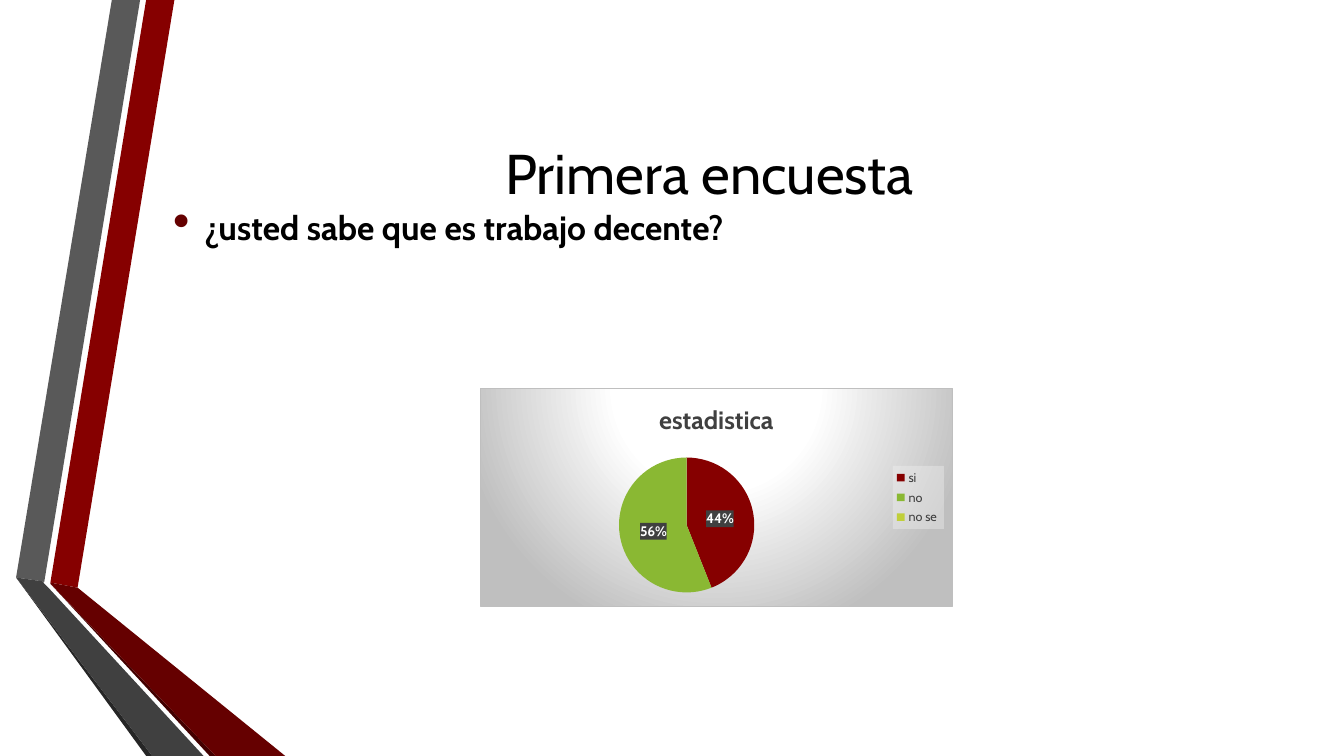
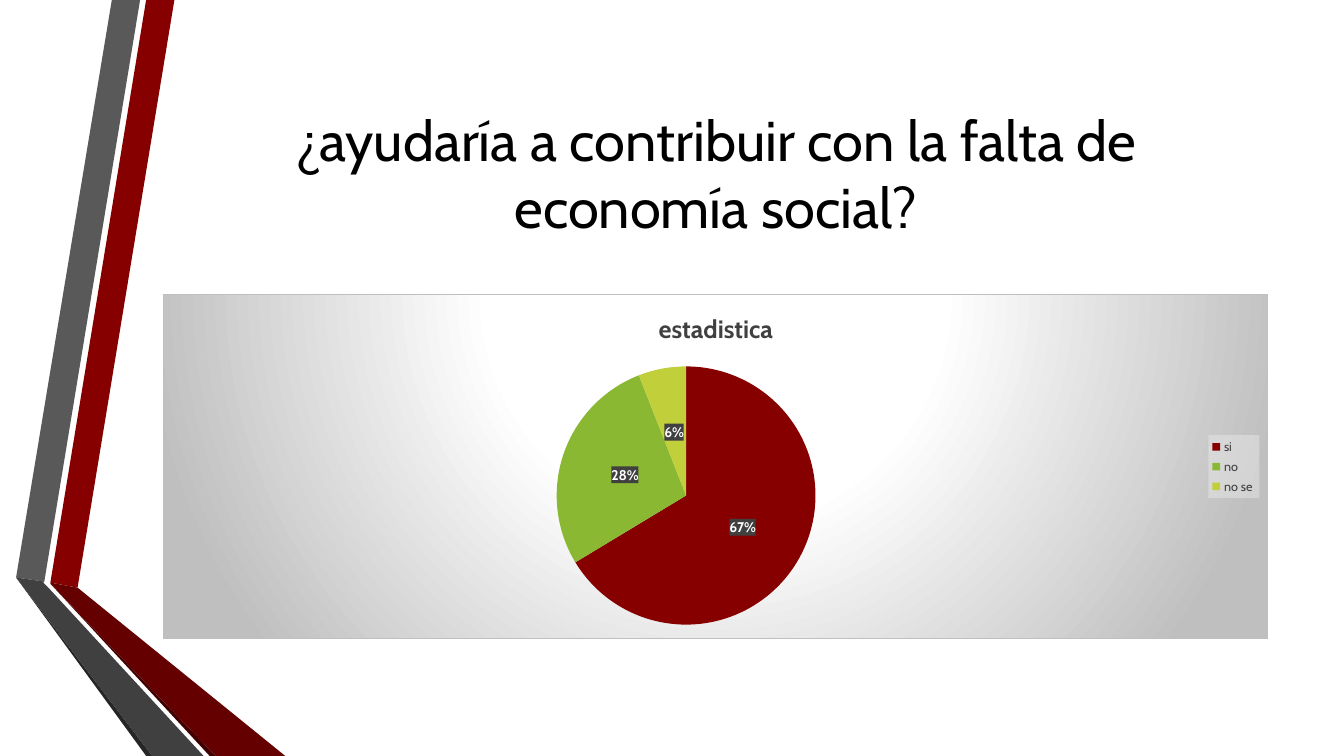
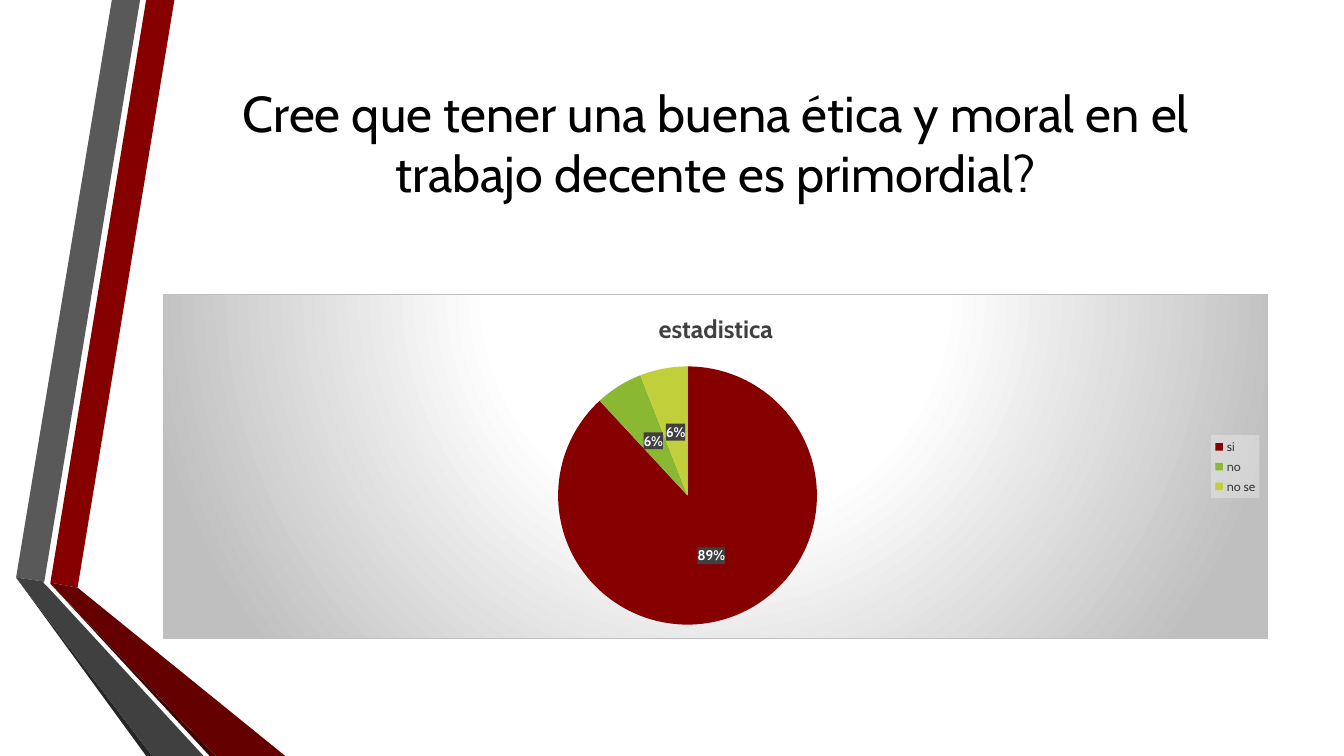
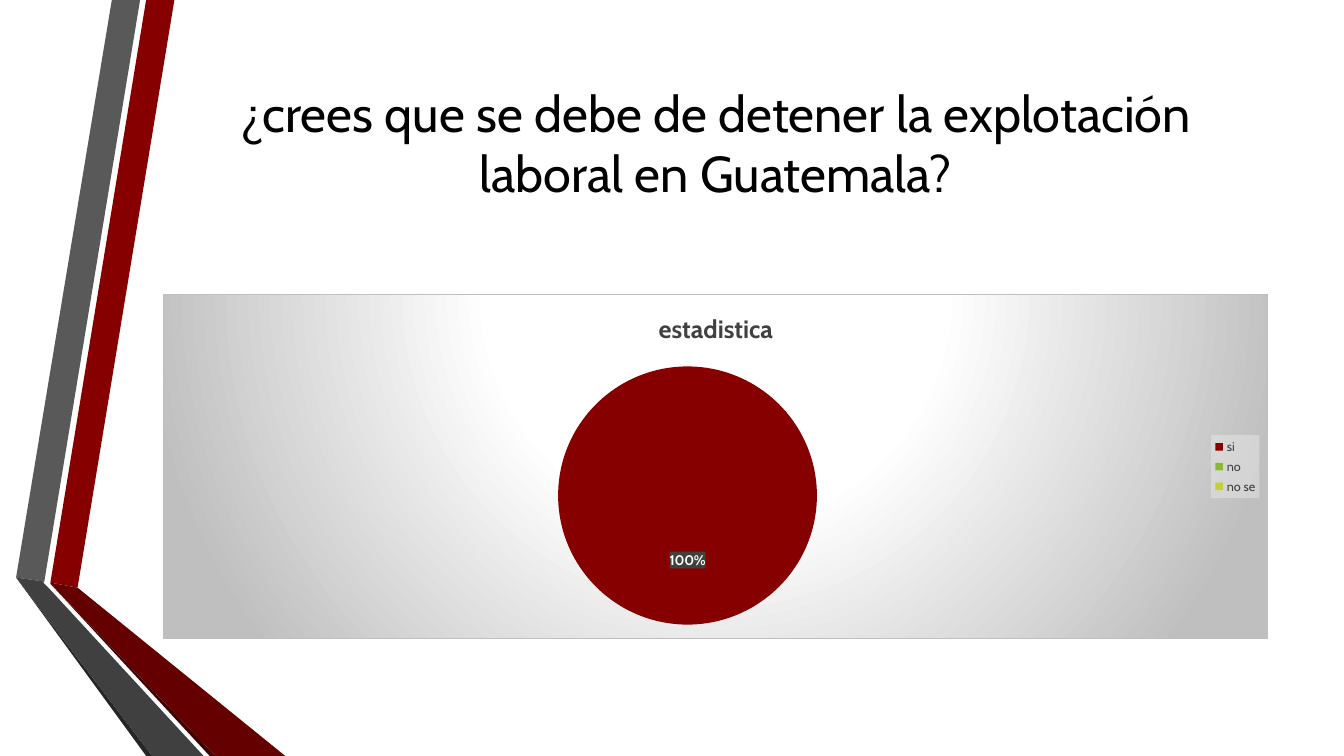
import pptx
import pptx.chart.data
import pptx.dml.color
import pptx.enum.chart
import pptx.enum.text
import pptx.oxml
import pptx.oxml.ns
import pptx.util
from pptx.util import Inches

FONT = "Cabin"
INK = "000000"
GREY = "404040"
DARK_RED = "650000"
SLICE_COLOURS = ["860000", "8AB833", "C0CF3A"]

# Outlines in hundredths of an inch, from back to front.
BANDS = [
    ("860000", [(50, 578), (77, 583), (173, 0), (145, 0)]),
    ("595959", [(139, 0), (111, 0), (16, 573), (44, 577)]),
    ("262626", [(16, 573), (145, 750), (151, 750)]),
    ("430000", [(50, 579), (208, 750), (214, 750)]),
    (DARK_RED, [(50, 579), (214, 750), (283, 750), (77, 583), (50, 578)]),
    (GREY, [(202, 750), (48, 583), (43, 578), (44, 577), (16, 573), (151, 750)]),
]

LEFT, WIDTH = 1.62, 10.96
WIDE_CHART = (LEFT, 2.92, WIDTH, 3.42)
SMALL_CHART = (4.76, 3.85, 4.69, 2.17)

# title, title size, title height, chart frame, categories, values
SURVEYS = [
    ("Primera encuesta ", 40, 1.92, SMALL_CHART, ["si", "no", "no se "], [44, 56, 0]),
    ("¿ayudaría a contribuir con la falta de economía social?", 40, 1.92,
     WIDE_CHART, ["si", "no", "no se "], [67, 28, 6]),
    ("Cree que tener una buena ética y moral en el trabajo decente es primordial?", 36, 1.32,
     WIDE_CHART, ["si", "no", "no se"], [89, 6, 6]),
    ("¿crees que se debe de detener la explotación laboral en Guatemala?", 36, 1.32,
     WIDE_CHART, ["si", "no", "no se"], [100, 0, 0]),
]

NAMESPACES = pptx.oxml.ns.nsdecls("c", "a")
CHART_FORMAT = f"""<c:spPr {NAMESPACES}>
  <a:gradFill><a:gsLst>
    <a:gs pos="0"><a:srgbClr val="FFFFFF"/></a:gs>
    <a:gs pos="39000"><a:srgbClr val="FFFFFF"/></a:gs>
    <a:gs pos="100000"><a:srgbClr val="BFBFBF"/></a:gs>
  </a:gsLst><a:path path="circle">
    <a:fillToRect l="50000" t="-80000" r="50000" b="180000"/>
  </a:path></a:gradFill>
  <a:ln w="9525"><a:solidFill><a:srgbClr val="BFBFBF"/></a:solidFill></a:ln>
</c:spPr>"""
LEGEND_FORMAT = f"""<c:spPr {NAMESPACES}><a:solidFill>
  <a:srgbClr val="F2F2F2"><a:alpha val="39000"/></a:srgbClr>
</a:solidFill></c:spPr>"""
LABEL_FORMAT = f"""<c:spPr {NAMESPACES}><a:solidFill>
  <a:srgbClr val="{GREY}"/>
</a:solidFill></c:spPr>"""


def colour(value):
    return pptx.dml.color.RGBColor.from_string(value)


def add_text(page, text, top, height, size, bold=False, centred=False, bullet=False):
    """Add a vertically centred text box over the content width."""
    box = page.shapes.add_textbox(Inches(LEFT), Inches(top), Inches(WIDTH), Inches(height))
    frame = box.text_frame
    frame.word_wrap = True
    frame.vertical_anchor = pptx.enum.text.MSO_ANCHOR.MIDDLE
    para = frame.paragraphs[0]
    if centred:
        para.alignment = pptx.enum.text.PP_ALIGN.CENTER
    if bullet:
        properties = para._p.get_or_add_pPr()
        properties.set("marL", str(Inches(0.31)))
        properties.set("indent", str(-Inches(0.31)))
        namespace = pptx.oxml.ns.nsdecls("a")
        for markup in (
            f'<a:buClr {namespace}><a:srgbClr val="{DARK_RED}"/></a:buClr>',
            f'<a:buSzPct {namespace} val="145000"/>',
            f'<a:buChar {namespace} char="•"/>',
        ):
            properties.append(pptx.oxml.parse_xml(markup))
    span = para.add_run()
    span.text = text
    span.font.name = FONT
    span.font.size = pptx.util.Pt(size)
    span.font.bold = bold
    span.font.color.rgb = colour(INK)


deck = pptx.Presentation()
deck.slide_width, deck.slide_height = Inches(13.33), Inches(7.5)
blank = deck.slide_layouts[6]
pages = [deck.slides.add_slide(blank) for survey in SURVEYS]

# Only slides can build freeforms, so each band is then moved to the shared layout.
for fill, points in BANDS:
    builder = pages[0].shapes.build_freeform(*points[0], scale=Inches(0.01))
    builder.add_line_segments(points[1:], close=True)
    band = builder.convert_to_shape()
    band.shadow.inherit = False
    band.fill.solid()
    band.fill.fore_color.rgb = colour(fill)
    band.line.fill.background()
    blank.shapes.element.append(band.element)

for page, (title, size, height, frame, categories, values) in zip(pages, SURVEYS):
    add_text(page, title, 0.75, height, size, centred=True)
    if page is pages[0]:
        add_text(page, "¿usted sabe que es trabajo decente?", 0.54, 3.42, 24,
                 bold=True, bullet=True)

    data = pptx.chart.data.CategoryChartData()
    data.categories = categories
    data.add_series("estadistica", values)
    chart = page.shapes.add_chart(
        pptx.enum.chart.XL_CHART_TYPE.PIE, *[Inches(length) for length in frame], data).chart
    chart.has_title = True
    chart.chart_title.text_frame.text = "estadistica"
    chart.has_legend = True
    chart.legend.position = pptx.enum.chart.XL_LEGEND_POSITION.RIGHT
    chart.legend.include_in_layout = False

    plot = chart.plots[0]
    plot.vary_by_categories = True
    series = plot.series[0]
    for index, fill in enumerate(SLICE_COLOURS):
        slice_format = series.points[index].format
        slice_format.fill.solid()
        slice_format.fill.fore_color.rgb = colour(fill)
        slice_format.line.fill.background()

    # The rounded values need not add up to 100, so labels show them directly.
    labels = series.data_labels
    labels.show_value = True
    labels.number_format = '0"%"'
    labels.number_format_is_linked = False
    labels.position = pptx.enum.chart.XL_LABEL_POSITION.CENTER

    title_font = chart.chart_title.text_frame.paragraphs[0].runs[0].font
    for font, points, shade, bold in (
        (chart.font, 10, INK, False),
        (title_font, 18, GREY, True),
        (chart.legend.font, 9, GREY, False),
        (labels.font, 10, "FFFFFF", True),
    ):
        font.name = FONT
        font.size = pptx.util.Pt(points)
        font.bold = bold
        font.color.rgb = colour(shade)

    for text_format, markup in (
        ("./c:txPr", CHART_FORMAT),
        (".//c:legend/c:txPr", LEGEND_FORMAT),
        (".//c:dLbls/c:txPr", LABEL_FORMAT),
    ):
        chart.element.xpath(text_format)[0].addprevious(pptx.oxml.parse_xml(markup))

deck.save("out.pptx")
